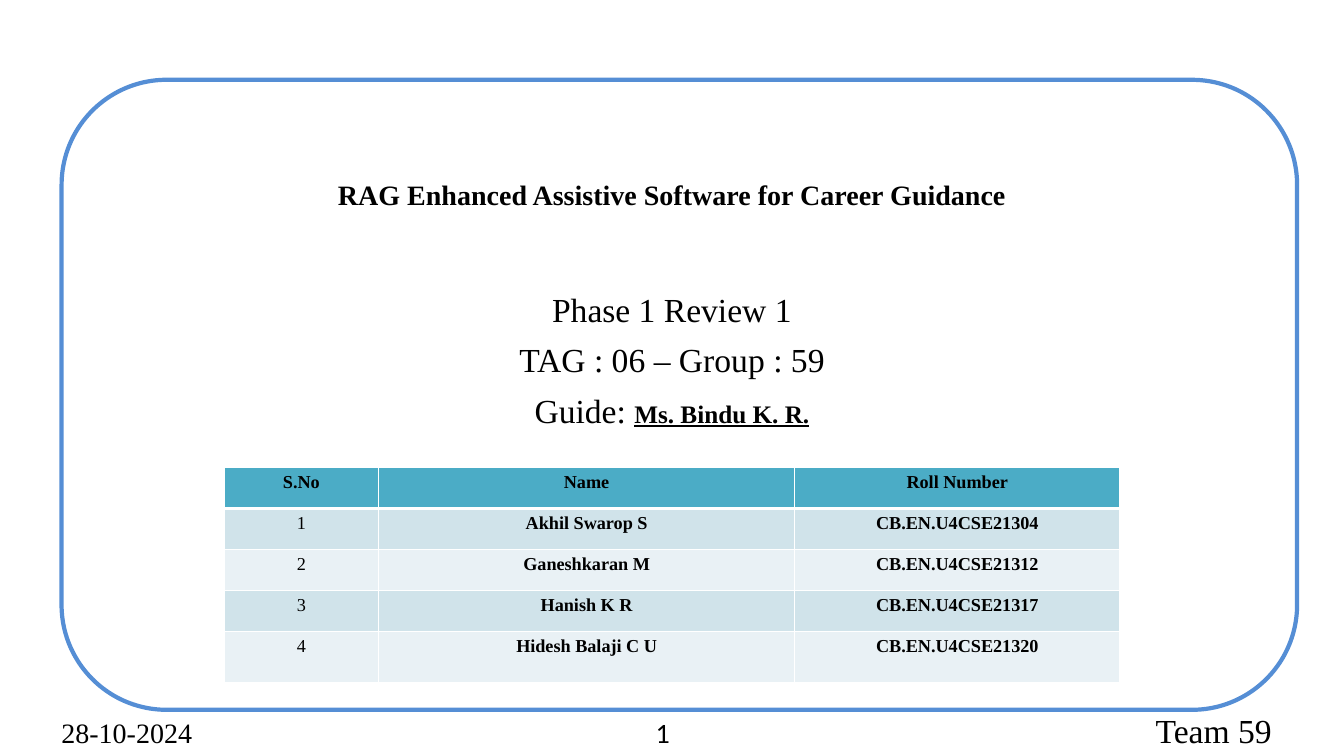
from lxml.etree import SubElement
from pptx import Presentation
from pptx.dml.color import RGBColor as RGB
from pptx.enum.shapes import MSO_SHAPE as Shape
from pptx.enum.text import MSO_ANCHOR as Anchor, MSO_AUTO_SIZE as AutoSize, PP_ALIGN as Align
from pptx.oxml.ns import qn
from pptx.util import Pt

COLORS = {"text": "000000", "frame": "558ED5", "header": "4BACC6",
          "odd": "D0E3EA", "even": "E9F1F5", "border": "FFFFFF"}
SERIF = "Times New Roman"
MEMBERS = [("Akhil Swarop S", "CB.EN.U4CSE21304"),
           ("Ganeshkaran M", "CB.EN.U4CSE21312"),
           ("Hanish K R", "CB.EN.U4CSE21317"),
           ("Hidesh Balaji C U", "CB.EN.U4CSE21320")]


def color(name):
    return RGB.from_string(COLORS[name])


def set_attrs(obj, values):
    for key, value in values.items():
        setattr(obj, key, value)


def place(sp, left, top, width, height):
    set_attrs(sp, {"left": Pt(left), "top": Pt(top),
                   "width": Pt(width), "height": Pt(height)})


def add_run(p, text, size, name=SERIF, **fmt):
    r = p.add_run()
    r.text = text
    set_attrs(r.font, {"size": Pt(size), "name": name, **fmt})
    r.font.color.rgb = color("text")


def fill_title(sp, text):
    place(sp, 120, 76.5, 720, 103.5)
    tf = sp.text_frame
    set_attrs(tf, {"auto_size": AutoSize.NONE, "word_wrap": True,
                   "vertical_anchor": Anchor.BOTTOM, "margin_bottom": Pt(29)})
    p = tf.paragraphs[0]
    set_attrs(p, {"alignment": Align.CENTER, "line_spacing": 1.15})
    add_run(p, text, 20, bold=True)


def fill_subtitle(sp, lines, guide):
    place(sp, 120, 206, 720, 267)
    tf = sp.text_frame
    set_attrs(tf, {"auto_size": AutoSize.NONE, "word_wrap": True,
                   "vertical_anchor": Anchor.TOP})
    for i, line in enumerate(lines):
        p = tf.add_paragraph() if i else tf.paragraphs[0]
        set_attrs(p, {"alignment": Align.CENTER, "line_spacing": 0.9,
                      "space_before": Pt(10 if i else 0)})
        add_run(p, line, 24)
    add_run(p, guide, 18, bold=True, underline=True)


def add_frame(s):
    sp = s.shapes.add_shape(Shape.ROUNDED_RECTANGLE, Pt(44), Pt(57), Pt(882.5), Pt(450))
    sp.shadow.inherit = False
    sp.fill.background()
    sp.line.color.rgb = color("frame")
    sp.line.width = Pt(3)


def add_footer(s, text, box, size, align, name=SERIF, indent=0):
    tf = s.shapes.add_textbox(*map(Pt, box)).text_frame
    set_attrs(tf, {"word_wrap": True, "vertical_anchor": Anchor.MIDDLE,
                   "margin_left": Pt(7.2 + indent)})
    p = tf.paragraphs[0]
    p.alignment = align
    add_run(p, text, size, name)


def set_borders(cell, bottom):
    tc_pr = cell._tc.get_or_add_tcPr()
    widths = {"a:lnL": 1, "a:lnR": 1, "a:lnT": 1, "a:lnB": bottom}
    for tag, width in widths.items():
        ln = SubElement(tc_pr, qn(tag), w=str(Pt(width)))
        fill = SubElement(ln, qn("a:solidFill"))
        SubElement(fill, qn("a:srgbClr"), val=COLORS["border"])


def add_members(s):
    rows = [("S.No", "Name", "Roll Number")]
    rows += [(str(i), *member) for i, member in enumerate(MEMBERS, 1)]
    table = s.shapes.add_table(len(rows), 3, Pt(160), Pt(334), Pt(640), Pt(155)).table
    for col, width in zip(table.columns, (110.5, 297, 232.5)):
        col.width = Pt(width)
    for i, values in enumerate(rows):
        table.rows[i].height = Pt(36.5 if i == len(MEMBERS) else 29.25)
        shade = "header" if i == 0 else "odd" if i % 2 else "even"
        for j, value in enumerate(values):
            cell = table.cell(i, j)
            set_borders(cell, 1 if i else 3)
            cell.fill.solid()
            cell.fill.fore_color.rgb = color(shade)
            p = cell.text_frame.paragraphs[0]
            p.alignment = Align.CENTER
            add_run(p, value, 13, bold=i == 0 or j > 0)


def main():
    prs = Presentation()
    set_attrs(prs, {"slide_width": Pt(960), "slide_height": Pt(540)})
    s = prs.slides.add_slide(prs.slide_layouts[0])

    # Title and review details
    fill_title(s.shapes.title, "RAG Enhanced Assistive Software for Career Guidance")
    fill_subtitle(s.placeholders[1],
                  ["Phase 1 Review 1", "TAG : 06 – Group : 59", "Guide: "],
                  "Ms. Bindu K. R.")

    # Frame and team members
    add_frame(s)
    add_members(s)

    # Footer: date, team and slide number
    add_footer(s, "28-10-2024", (36.75, 509, 216, 28.75), 20, Align.LEFT)
    add_footer(s, "Team 59", (761, 507, 175.75, 28.75), 24, Align.CENTER, indent=36)
    add_footer(s, "1", (269.5, 509, 216, 28.75), 20, Align.RIGHT, name="Calibri")

    prs.save("out.pptx")


if __name__ == "__main__":
    main()
